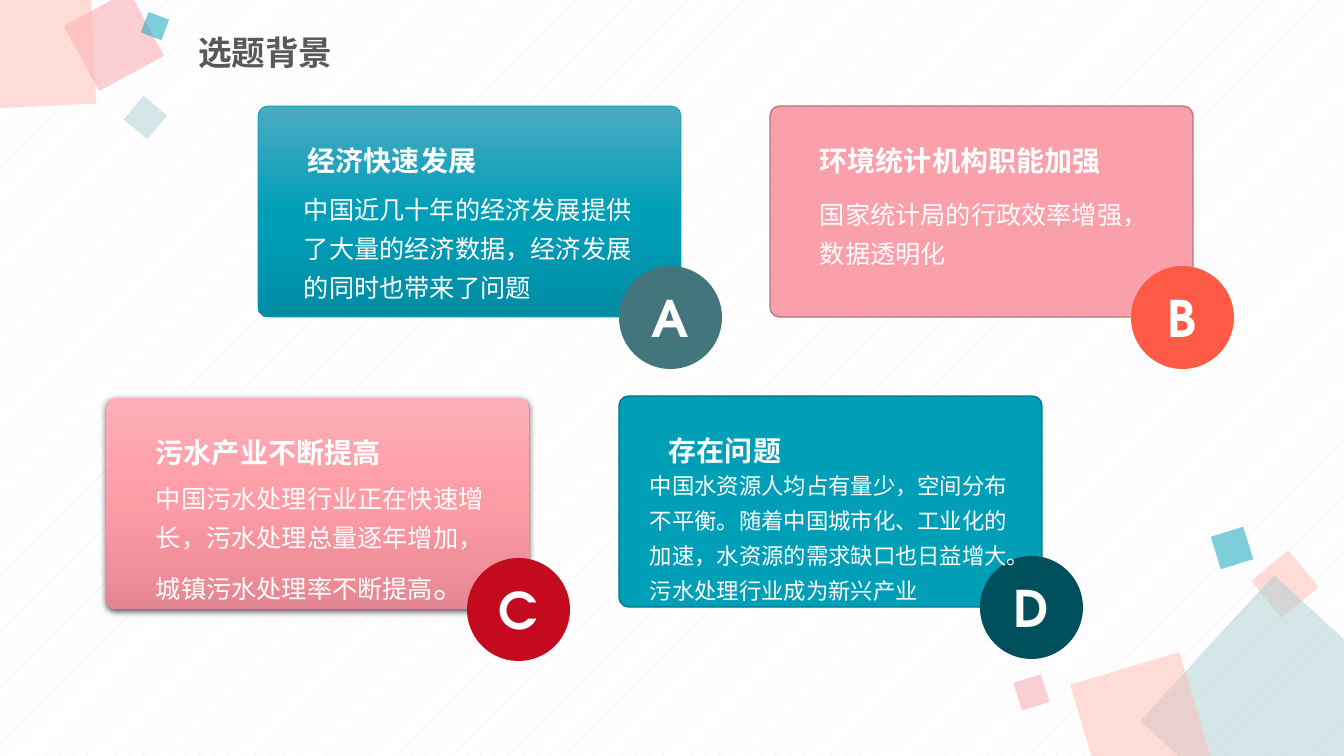
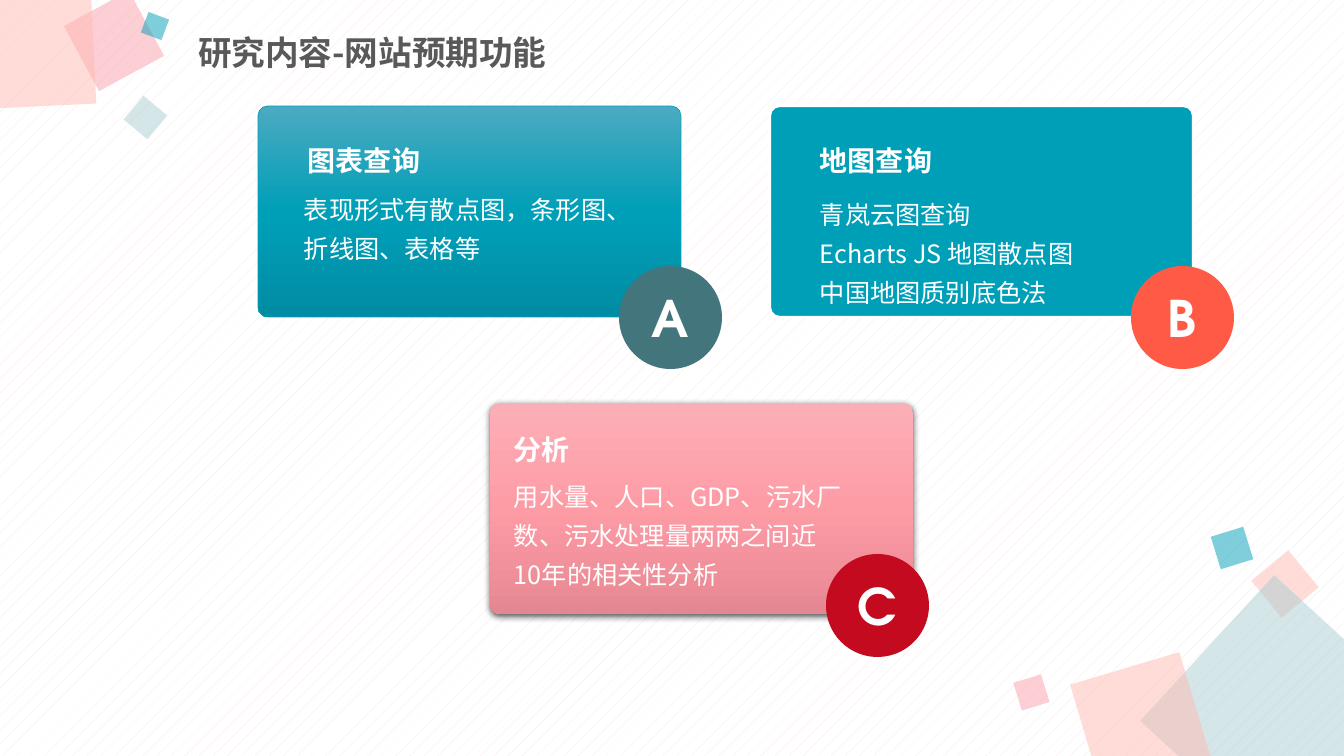
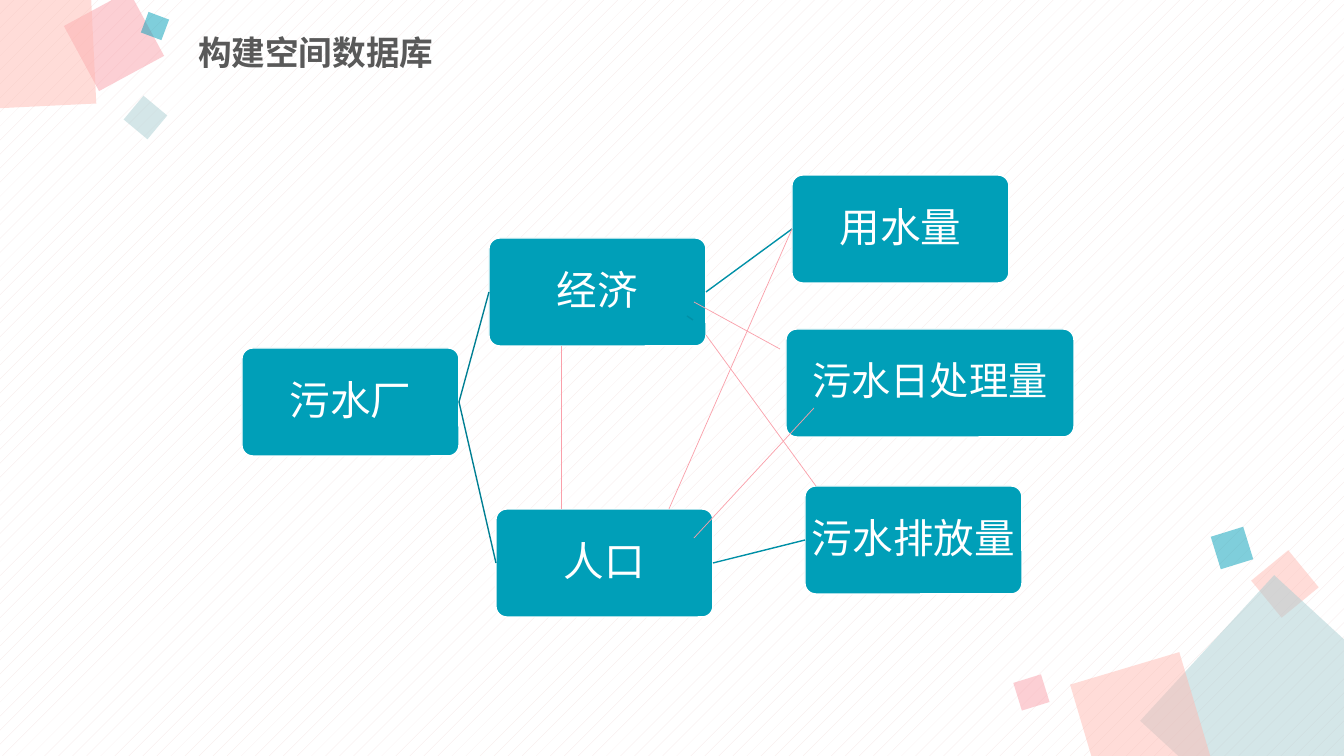
"""Build three slides on sewage statistics: background, site functions, spatial database."""
import dataclasses

import lxml.etree
import pptx
import pptx.dml.color
import pptx.enum.dml
import pptx.enum.shapes
import pptx.enum.text
import pptx.oxml.ns
import pptx.util

EMU_PER_PX = 12192000 / 1344
SHAPE = pptx.enum.shapes.MSO_SHAPE
ALIGN = pptx.enum.text.PP_ALIGN
qn = pptx.oxml.ns.qn
Pt = pptx.util.Pt


@dataclasses.dataclass(frozen=True)
class Theme:
    """Colours, fonts and type sizes."""
    teal: str = "009FB8"
    teal_line: str = "0090A7"
    teal_dark_line: str = "007F93"
    teal_edge: str = "007688"
    mist: str = "AACED2"
    peach: str = "FFBBB3"
    pink: str = "FAA0AA"
    pink_edge: str = "B9767E"
    slate: str = "42767C"
    coral: str = "FF5A46"
    red: str = "C30A1F"
    deep: str = "004F5C"
    white: str = "FFFFFF"
    title: str = "595959"
    pattern: str = "F5E5E4"
    shadow: str = "000000"
    teal_fade: tuple = ("4BAAC1", "009FB8", "008DA4")
    pink_fade: tuple = ("FCAEB6", "FE9CA6", "E58792")
    font: str = "Noto Sans CJK SC"
    accent_font: str = "TeX Gyre Adventor"
    title_size: int = 24
    heading_size: int = 20
    body_size: int = 18
    small_size: int = 16
    badge_size: int = 36
    node_size: int = 29
    wide_node_size: int = 28


T = Theme()

CARD_STYLES = {
    "teal_fade": dict(fill=T.teal_fade, line=(T.teal, 0.5)),
    "pink_fade": dict(fill=T.pink_fade, shadow=True),
    "pink": dict(fill=T.pink, line=(T.pink_edge, 1)),
    "teal": dict(fill=T.teal, line=(T.teal_edge, 1)),
    "teal_white": dict(fill=T.teal, line=(T.white, 1.5)),
}
BADGE_COLORS = {"A": T.slate, "B": T.coral, "C": T.red, "D": T.deep}


def px(*values):
    """Turn pixels into EMU."""
    return [pptx.util.Emu(round(v * EMU_PER_PX)) for v in values]


def rgb(color):
    """Make a colour from its hex digits."""
    return pptx.dml.color.RGBColor.from_string(color)


def add_run(p, text, size, color=T.white, font=T.font, bold=False):
    """Add one formatted run to a paragraph."""
    r = p.add_run()
    r.text = text
    r.font.size = Pt(size)
    r.font.bold = bold
    r.font.name = font
    r.font.color.rgb = rgb(color)
    lxml.etree.SubElement(r.font._element, qn("a:ea"), typeface=T.font)


def set_fade(sp, colors):
    """Fill a shape with an even gradient from top to bottom."""
    sp.fill.gradient()
    sp.fill.gradient_angle = 270
    stops = next(sp.element.iter(qn("a:gsLst")))
    stops.clear()
    for i, color in enumerate(colors):
        gs = lxml.etree.SubElement(stops, qn("a:gs"), pos=str(100000 * i // (len(colors) - 1)))
        lxml.etree.SubElement(gs, qn("a:srgbClr"), val=color)


def set_alpha(element, percent):
    """Set the opacity of every colour in an element."""
    for color in element.iter(qn("a:srgbClr")):
        lxml.etree.SubElement(color, qn("a:alpha"), val=str(percent * 1000))


def add_shadow(sp):
    """Give a shape a soft shadow below it."""
    effects = next(sp.element.iter(qn("a:effectLst")))
    outer = lxml.etree.SubElement(effects, qn("a:outerShdw"), blurRad=str(Pt(4.5)),
                                  dist=str(Pt(1.5)), dir="5400000", rotWithShape="0")
    lxml.etree.SubElement(outer, qn("a:srgbClr"), val=T.shadow)
    set_alpha(outer, 63)


def add_box(s, kind, at, fill, line=None, shadow=False, radius=None):
    """Add a filled preset shape."""
    sp = s.shapes.add_shape(kind, *px(*at))
    sp.shadow.inherit = False
    if isinstance(fill, tuple):
        set_fade(sp, fill)
    else:
        sp.fill.solid()
        sp.fill.fore_color.rgb = rgb(fill)
    if line:
        sp.line.color.rgb = rgb(line[0])
        sp.line.width = Pt(line[1])
    else:
        sp.line.fill.background()
    if shadow:
        add_shadow(sp)
    if radius is not None:
        sp.adjustments[0] = radius
    return sp


def add_text(s, at, paragraphs, wrap=True, **style):
    """Add a text box from paragraphs made of (text, size) runs."""
    tf = s.shapes.add_textbox(*px(*at)).text_frame
    tf.word_wrap = wrap
    tf.auto_size = pptx.enum.text.MSO_AUTO_SIZE.SHAPE_TO_FIT_TEXT
    for i, runs in enumerate(paragraphs):
        p = tf.paragraphs[0] if i == 0 else tf.add_paragraph()
        p.line_spacing = 1.3
        for text, size in runs:
            add_run(p, text, size, **style)


def add_card(s, letter, style, at, heading, body, body_at, body_size=(350, 129),
             heading_at=(40, 22), badge_at=(361, 160)):
    """Add a card with a lettered badge; inner places count from its corner."""
    x, y = at
    add_box(s, SHAPE.ROUNDED_RECTANGLE, (x, y, 423, 211), radius=0.046, **CARD_STYLES[style])
    badge = add_box(s, SHAPE.OVAL, (x + badge_at[0], y + badge_at[1], 103, 103),
                    BADGE_COLORS[letter])
    p = badge.text_frame.paragraphs[0]
    p.alignment = ALIGN.CENTER
    add_run(p, letter, T.badge_size, font=T.accent_font, bold=True)
    add_text(s, (x + body_at[0], y + body_at[1], *body_size), body)
    add_text(s, (x + heading_at[0], y + heading_at[1], 24 + 28 * len(heading), 49),
             [[(heading, T.heading_size)]], wrap=False, font=T.accent_font, bold=True)


def add_node(s, x, y, text, width=217, size=T.node_size):
    """Add a diagram node."""
    sp = add_box(s, SHAPE.ROUNDED_RECTANGLE, (x, y, width, 108), T.teal, (T.white, 1), radius=0.1)
    tf = sp.text_frame
    tf.word_wrap = True
    tf.margin_left, tf.margin_top, tf.margin_right, tf.margin_bottom = px(1, 2, 1, 2)
    p = tf.paragraphs[0]
    p.alignment = ALIGN.CENTER
    p.line_spacing = 0.9
    p.space_after = Pt(10)
    add_run(p, text, size, font=T.accent_font)
    return sp


def add_line(s, points, color, width, begin=None, end=None):
    """Add a straight line, joined to (shape, side) where given."""
    c = s.shapes.add_connector(pptx.enum.shapes.MSO_CONNECTOR.STRAIGHT, *px(*points))
    c.line.color.rgb = rgb(color)
    c.line.width = Pt(width)
    lxml.etree.SubElement(c.element.spPr, qn("a:effectLst"))
    if begin:
        c.begin_connect(*begin)
    if end:
        c.end_connect(*end)


def decorate(prs, s):
    """Set the background and move the corner squares to the layout."""
    fill = prs.slide_master.background.fill
    fill.patterned()
    fill.pattern = pptx.enum.dml.MSO_PATTERN.PERCENT_5
    fill.fore_color.rgb = rgb(T.pattern)
    fill.back_color.rgb = rgb(T.white)
    squares = [
        (1261, 560, 48, 320.6, T.peach),
        (1181, 616, 198, 42.6, T.mist),
        (1084, 666, 114, 343.4, T.peach),
        (1017, 678, 29, 342.8, T.pink),
        (1215, 531, 34, 342.8, T.teal),
        (77, 4, 74, 331.6, T.pink),
        (-46, -32, 139, 357.2, T.peach),
        (130, 102, 31, 309.8, T.mist),
        (144, 15, 22, 290.5, T.teal),
    ]
    for i, (x, y, side, angle, color) in enumerate(squares):
        sp = add_box(s, SHAPE.RECTANGLE, (x, y, side, side), color)
        sp.rotation = angle
        set_alpha(sp.element, 50)
        sp.element.nvSpPr.cNvPr.id = 100 + i
        s.slide_layout.shapes.element.append(sp.element)


def add_slide(prs, title):
    """Add a title-only slide with its title in place."""
    s = prs.slides.add_slide(prs.slide_layouts[5])
    sp = s.shapes.title
    sp.left, sp.top, sp.width, sp.height = px(188, 26, 618, 58)
    tf = sp.text_frame
    tf.word_wrap = True
    tf.vertical_anchor = pptx.enum.text.MSO_ANCHOR.MIDDLE
    p = tf.paragraphs[0]
    p.alignment = ALIGN.LEFT
    p.line_spacing = 0.9
    p.space_before = Pt(10)
    add_run(p, title, T.title_size, T.title, bold=True)
    return s


def build_background(s):
    """Fill the slide on the choice of topic."""
    add_card(s, "A", "teal_fade", (258, 106), "经济快速发展",
             [[("中国近几十年的经济发展提供了大量的经济数据，经济发展的同时也带来了问题", T.body_size)]],
             (36, 74))
    add_card(s, "B", "pink", (770, 106), "环境统计机构职能加强",
             [[("国家统计局的行政效率增强，数据透明化", T.body_size)]], (40, 79), (350, 90))
    add_card(s, "C", "pink_fade", (106, 398), "污水产业不断提高",
             [[("中国污水处理行业正在快速增长，污水处理总量逐年增加，城镇污水处理率不断提高", T.body_size),
               ("。", T.title_size)]], (40, 71), (350, 142))
    add_card(s, "D", "teal", (619, 396), "存在问题",
             [[("中国水资源人均占有量少，空间分布不平衡。随着中国城市化、工业化的加速，"
                "水资源的需求缺口也日益增大。污水处理行业成为新兴产业", T.small_size)]],
             (21, 63), (392, 151))


def build_functions(s):
    """Fill the slide on the planned site functions."""
    add_card(s, "A", "teal_fade", (258, 106), "图表查询",
             [[("表现形式有散点图，条形图、折线图、表格等", T.body_size)]], (36, 74), (350, 90))
    lines = ["青岚云图查询", "Echarts JS 地图散点图", "中国地图质别底色法"]
    add_card(s, "B", "teal_white", (770, 106), "地图查询",
             [[(text, T.body_size)] for text in lines], (40, 79))
    add_card(s, "C", "pink_fade", (490, 403), "分析",
             [[("用水量、人口、GDP、污水厂数、污水处理量两两之间近10年的相关性分析", T.body_size)]],
             (14, 64), heading_at=(14, 14), badge_at=(336, 151))


def build_database(s):
    """Fill the slide with the diagram of data tables."""
    plant = add_node(s, 242, 348, "污水厂")
    economy = add_node(s, 489, 238, "经济")
    usage = add_node(s, 792, 175, "用水量")
    add_node(s, 786, 329, "污水日处理量", width=288, size=T.wide_node_size)
    people = add_node(s, 496, 509, "人口")
    discharge = add_node(s, 805, 486, "污水排放量")
    links = [
        (plant, economy, T.teal_dark_line),
        (economy, usage, T.teal_line),
        (plant, people, T.teal_dark_line),
        (people, discharge, T.teal_line),
    ]
    for left, right, color in links:
        add_line(s, (0, 0, 1, 1), color, 1, (left, 3), (right, 1))
    add_line(s, (687, 316, 693, 320), T.teal_line, 1)
    add_line(s, (792, 229, 669, 509), T.pink, 0.5, begin=(usage, 1))
    relations = [
        (561, 346, 561, 509),
        (780, 349, 694, 302),
        (694, 538, 814, 408),
        (706, 335, 816, 486),
    ]
    for points in relations:
        add_line(s, points, T.pink, 0.5)


def main():
    """Build and save the presentation."""
    prs = pptx.Presentation()
    prs.slide_width, prs.slide_height = px(1344, 756)
    pages = [
        ("选题背景", build_background),
        ("研究内容-网站预期功能", build_functions),
        ("构建空间数据库", build_database),
    ]
    for i, (title, build) in enumerate(pages):
        s = add_slide(prs, title)
        if i == 0:
            decorate(prs, s)
        build(s)
    prs.save("out.pptx")


if __name__ == "__main__":
    main()
